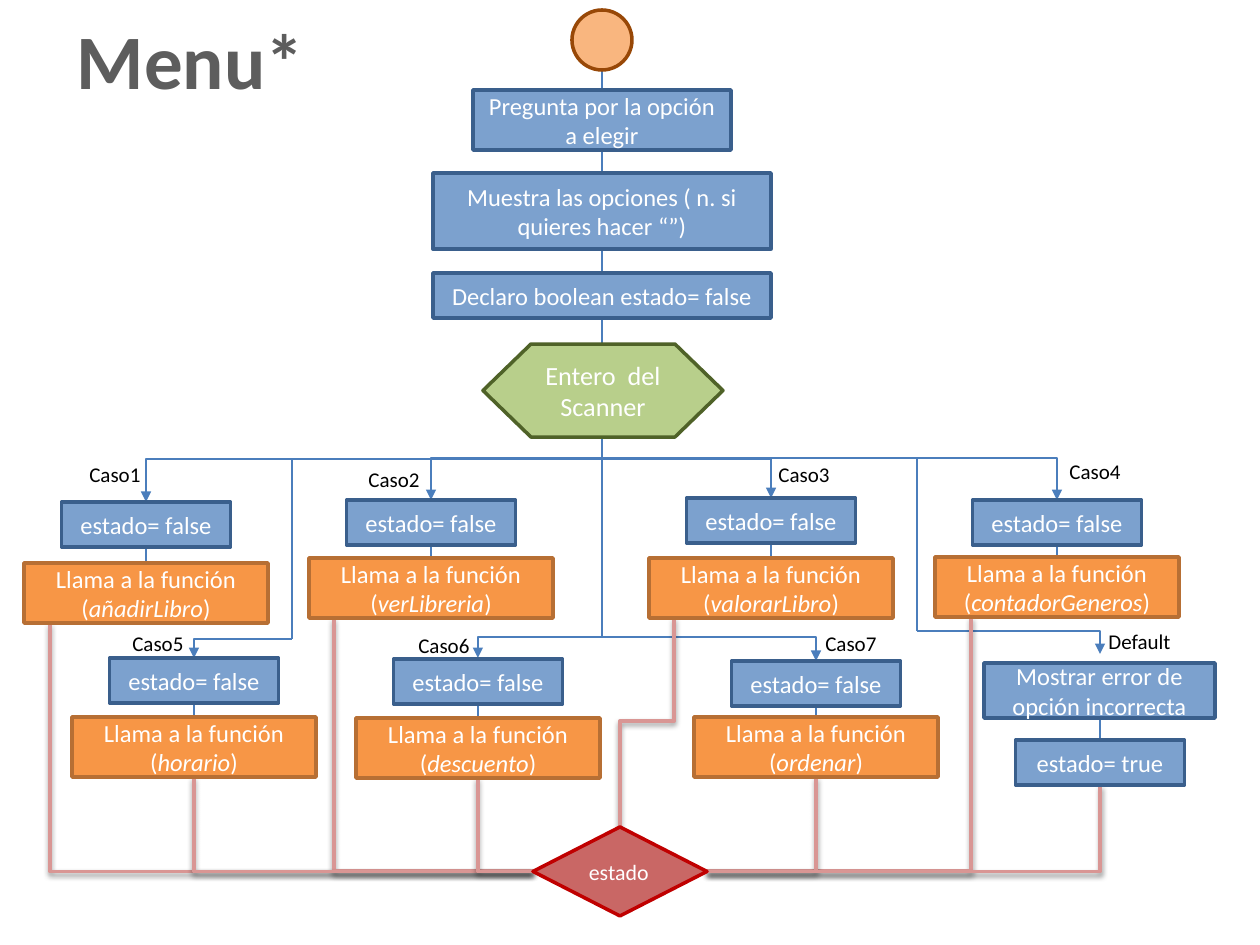
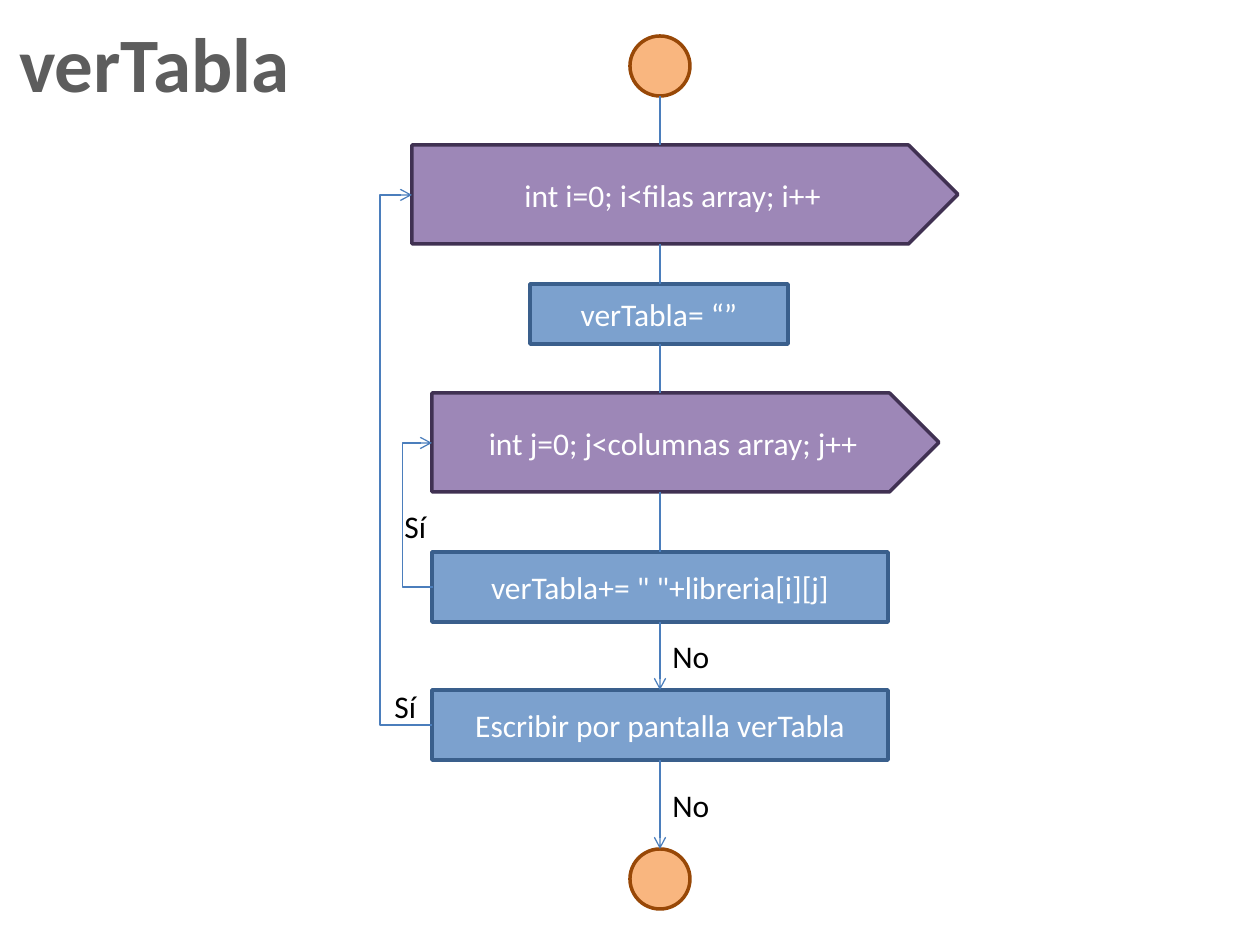
from itertools import pairwise
from lxml.etree import SubElement
from pptx import Presentation
from pptx.dml.color import RGBColor
from pptx.enum.shapes import MSO_CONNECTOR, MSO_SHAPE
from pptx.enum.text import MSO_ANCHOR, MSO_AUTO_SIZE, PP_ALIGN
from pptx.oxml.ns import qn
from pptx.util import Pt

PX = 914400 / 126
FONT = "Calibri"
WHITE, BLACK, TITLE_GREY = "FFFFFF", "000000", "5D5D5D"
BLUE_LINE, PINK_LINE = "4B7EBC", "D99694"

STYLES = {
    "terminal": (MSO_SHAPE.FLOWCHART_CONNECTOR, "F9B67F", "984807"),
    "step": (MSO_SHAPE.FLOWCHART_PROCESS, "7CA1CE", "3A5F8C"),
    "call": (MSO_SHAPE.FLOWCHART_PROCESS, "F79646", "B76F34"),
    "input": (MSO_SHAPE.FLOWCHART_PREPARATION, "B8CF8B", "4F6228"),
    "decision": (MSO_SHAPE.FLOWCHART_DECISION, "C96765", "C00000"),
    "loop": (MSO_SHAPE.PENTAGON, "9D87B7", "403152"),
}

MENU_AXIS = 602
MENU_SPINE = [
    ("terminal", "", (572, 10, 60, 60), 14),
    ("step", "Pregunta por la opción a elegir", (473, 90, 258, 60), 14),
    ("step", "Muestra las opciones ( n. si quieres hacer “”)", (433, 173, 338, 76), 14),
    ("step", "Declaro boolean estado= false", (433, 273, 338, 45), 14),
    ("input", "Entero  del Scanner", (483, 344, 240, 93), 15),
]
SCANNER = (MENU_AXIS, 437)
STATE_SIZE, CALL_SIZE = (169, 45), (244, 60)
# label, label corner, axis, state top, call top, function, exit x
CASES = [
    ("Caso1", (77, 455), 146, 502, 563, "añadirLibro", 50),
    ("Caso2", (356, 460), 431, 500, 558, "verLibreria", 334),
    ("Caso3", (766, 455), 771, 498, 558, "valorarLibro", 674),
    ("Caso4", (1057, 452), 1057, 500, 557, "contadorGeneros", 971),
    ("Caso5", (120, 624), 194, 658, 717, "horario", 194),
    ("Caso6", (406, 626), 478, 659, 718, "descuento", 478),
    ("Caso7", (813, 624), 816, 661, 717, "ordenar", 816),
]
UPPER_BENDS = [459, 458, 459, 458]
LOWER_BRANCHES = [
    ((292, 460), 639, [(194, 658)]),
    (SCANNER, 637, [(478, 658), (816, 661)]),
    ((917, 458), 631, [(1100, 654)]),
]
ERROR_AXIS = 1100
ERROR_BOX = (984, 663, 231, 55)
TRUE_TOP = 740
DECISION = (533, 827, 174, 89)

TABLE_AXIS = 660
TABLE_SPINE = [
    ("terminal", "", (630, 36, 60, 60)),
    ("loop", "int i=0; i<filas array; i++", (412, 145, 546, 99)),
    ("step", "verTabla= “”", (530, 284, 258, 60)),
    ("loop", "int j=0; j<columnas array; j++", (432, 393, 507, 99)),
    ("step", 'verTabla+= " "+libreria[i][j]', (432, 552, 456, 70)),
    ("step", "Escribir por pantalla verTabla", (432, 690, 456, 70)),
    ("terminal", "", (630, 849, 60, 60)),
]
TABLE_RETURNS = [((433, 587), (432, 443), 402), ((432, 725), (412, 195), 380)]
TABLE_LABELS = [
    ("Sí", (392, 501, 49, 50)),
    ("Sí", (382, 681, 49, 50)),
    ("No", (660, 631, 69, 50)),
    ("No", (660, 780, 69, 50)),
]


def emu(*lengths):
    return [round(length * PX) for length in lengths]


def color(value):
    return RGBColor.from_string(value)


def write(box, text, size=14, fill=WHITE, bold=False, align=PP_ALIGN.CENTER):
    para = box.text_frame.paragraphs[0]
    para.alignment = align
    for index, part in enumerate(text.split("_")):
        span = para.add_run()
        span.text = part
        span.font.name, span.font.size = FONT, Pt(size)
        span.font.bold, span.font.italic = bold, index % 2 == 1
        span.font.color.rgb = color(fill)


def add_page(deck, title, area):
    page = deck.slides.add_slide(deck.slide_layouts[5])
    box = page.shapes.title
    box.left, box.top, box.width, box.height = emu(*area)
    box.text_frame.word_wrap = False
    box.text_frame.auto_size = MSO_AUTO_SIZE.NONE
    write(box, title, size=44, fill=TITLE_GREY, bold=True)
    return page


def add_box(page, style, text, area, size=14, align=PP_ALIGN.CENTER):
    preset, fill, outline = STYLES[style]
    box = page.shapes.add_shape(preset, *emu(*area))
    box.shadow.inherit = False
    box.fill.solid()
    box.fill.fore_color.rgb = color(fill)
    box.line.color.rgb = color(outline)
    box.line.width = Pt(2)
    box.text_frame.word_wrap = True
    box.text_frame.vertical_anchor = MSO_ANCHOR.MIDDLE
    if text:
        write(box, text, size=size, align=align)


def add_label(page, text, area, size=12):
    box = page.shapes.add_textbox(*emu(*area))
    box.text_frame.word_wrap = True
    write(box, text, size=size, fill=BLACK, align=PP_ALIGN.LEFT)


def add_line(page, start, end, head=None, stroke=BLUE_LINE, width=0.75, kind=MSO_CONNECTOR.STRAIGHT):
    line = page.shapes.add_connector(kind, *emu(*start, *end))
    line.line.color.rgb = color(stroke)
    line.line.width = Pt(width)
    if head:
        SubElement(line.line._get_or_add_ln(), qn("a:tailEnd"), type=head)
    effects = SubElement(line._element.spPr, qn("a:effectLst"))
    if stroke == PINK_LINE:
        shadow = SubElement(effects, qn("a:outerShdw"), blurRad="40000", dist="20000", dir="5400000", rotWithShape="0")
        tint = SubElement(shadow, qn("a:srgbClr"), val=BLACK)
        SubElement(tint, qn("a:alpha"), val="38000")
    return line


def add_elbow(page, start, end, bend=None, vertical=False, **style):
    (x1, y1), (x2, y2) = start, end
    first, last = (y1, y2) if vertical else (x1, x2)
    turn = 0
    if vertical:
        middle_x, middle_y = (x1 + x2) / 2, (y1 + y2) / 2
        side = 1 if x2 > x1 else -1
        half_width, half_height = (y2 - y1) / 2, abs(x2 - x1) / 2
        start = (middle_x + side * half_width, middle_y - half_height)
        end = (middle_x - side * half_width, middle_y + half_height)
        turn = 270 if side == 1 else 90
    line = add_line(page, start, end, kind=MSO_CONNECTOR.ELBOW, **style)
    properties = line._element.spPr
    if turn:
        properties.find(qn("a:xfrm")).set("rot", str(turn * 60000))
    geometry = properties.find(qn("a:prstGeom"))
    if bend is None:
        geometry.set("prst", "bentConnector2")
    else:
        share = round((bend - first) / (last - first) * 100000)
        SubElement(geometry.find(qn("a:avLst")), qn("a:gd"), name="adj1", fmla=f"val {share}")


def add_spine(page, axis, areas, arrows=0):
    links = list(pairwise(areas))
    for index, (upper, lower) in enumerate(links):
        head = "arrow" if index >= len(links) - arrows else None
        add_line(page, (axis, upper[1] + upper[3]), (axis, lower[1]), head=head)


def centred(axis, top, size):
    return (axis - size[0] / 2, top, *size)


def build_menu(deck):
    page = add_page(deck, "Menu*", (63, 6, 255, 106))
    add_spine(page, MENU_AXIS, [area for _, _, area, _ in MENU_SPINE])
    for case, bend in zip(CASES, UPPER_BENDS):
        add_elbow(page, SCANNER, (case[2], case[3]), bend, vertical=True, head="triangle")
    for start, level, targets in LOWER_BRANCHES:
        corner = (start[0], level)
        add_line(page, start, corner)
        for target in targets:
            add_elbow(page, corner, target, head="triangle")

    left, top, width, height = DECISION
    centre, level = left + width / 2, top + height / 2
    pink = {"vertical": True, "stroke": PINK_LINE, "width": 2.25}
    exits = [(case[6], case[4] + CALL_SIZE[1]) for case in CASES]
    exits.append((ERROR_AXIS, TRUE_TOP + STATE_SIZE[1]))
    for leave in exits:
        if leave[0] == 674:
            add_elbow(page, leave, (centre, top), 721, **pink)
        else:
            side = left if leave[0] < centre else left + width
            add_elbow(page, leave, (side, level), **pink)

    for style, text, area, size in MENU_SPINE:
        add_box(page, style, text, area, size)
    for label, corner, axis, state_top, call_top, function, _ in CASES:
        state = centred(axis, state_top, STATE_SIZE)
        call = centred(axis, call_top, CALL_SIZE)
        add_spine(page, axis, [state, call])
        add_box(page, "step", "estado= false", state)
        add_box(page, "call", f"Llama a la función (_{function}_)", call)
        add_label(page, label, (*corner, 77, 38))
    true_box = centred(ERROR_AXIS, TRUE_TOP, STATE_SIZE)
    add_spine(page, ERROR_AXIS, [ERROR_BOX, true_box])
    add_box(page, "step", "Mostrar error de opción incorrecta", ERROR_BOX)
    add_box(page, "step", "estado= true", true_box)
    add_label(page, "Default", (1096, 622, 118, 38))
    add_box(page, "decision", "estado", DECISION, 12.5, PP_ALIGN.LEFT)


def build_table_view(deck):
    page = add_page(deck, "verTabla", (5, 9, 299, 106))
    for style, text, area in TABLE_SPINE:
        add_box(page, style, text, area, 18)
    add_spine(page, TABLE_AXIS, [area for _, _, area in TABLE_SPINE], arrows=2)
    for start, end, bend in TABLE_RETURNS:
        add_elbow(page, start, end, bend, head="arrow")
    for text, area in TABLE_LABELS:
        add_label(page, text, area, 18)


def main():
    deck = Presentation()
    deck.slide_width, deck.slide_height = emu(1260, 945)
    build_menu(deck)
    build_table_view(deck)
    deck.save("out.pptx")


if __name__ == "__main__":
    main()
